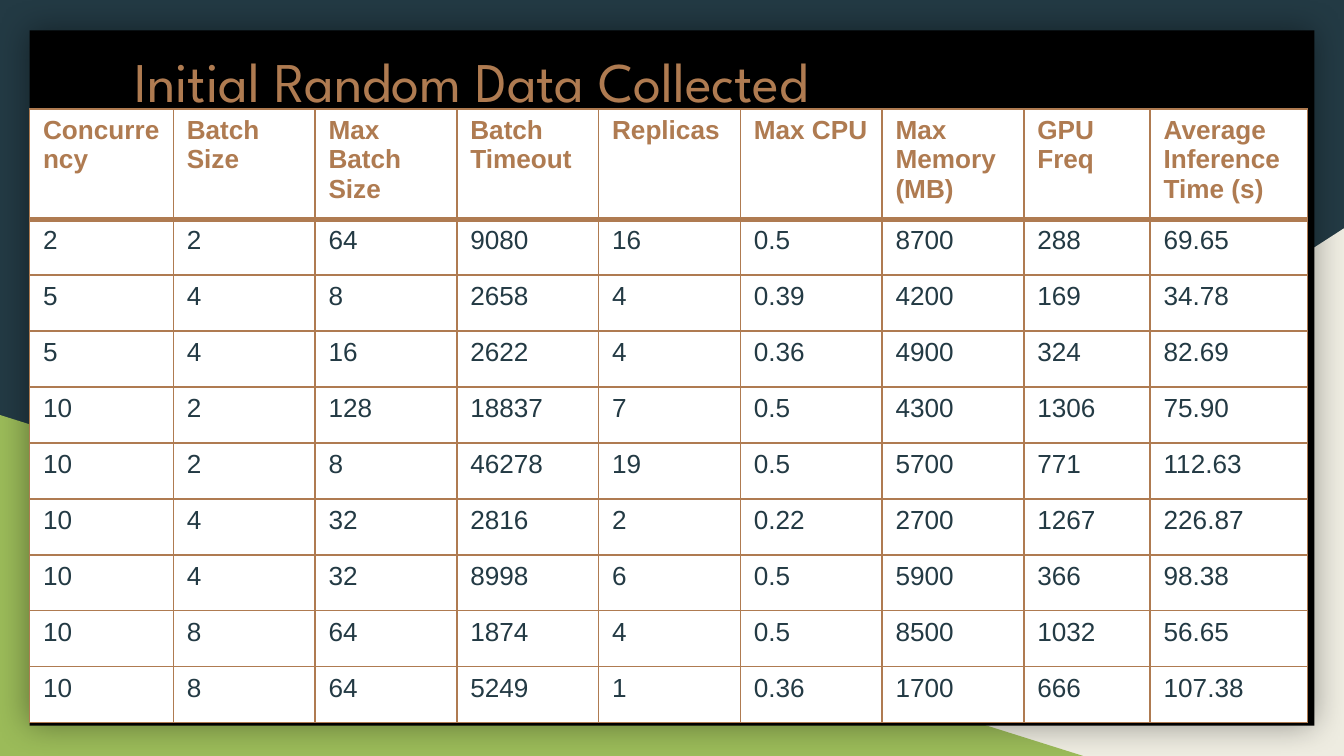
from pptx import Presentation, util as u
from pptx.dml.color import RGBColor
from pptx.enum import shapes, text
from pptx.oxml import parse_xml
from pptx.oxml.ns import nsdecls

NAVY = RGBColor(0x23, 0x3A, 0x44)
CREAM = RGBColor(0xEE, 0xEC, 0xE1)
GREEN = RGBColor(0x9B, 0xBB, 0x59)
BLACK = RGBColor(0, 0, 0)
WHITE = RGBColor(0xFF, 0xFF, 0xFF)
COPPER = RGBColor(0xAF, 0x7B, 0x51)

HEADINGS = ["Concurrency", "Batch Size", "Max Batch Size", "Batch Timeout", "Replicas",
            "Max CPU", "Max Memory (MB)", "GPU\nFreq", "Average Inference Time (s)"]
TRIALS = """
2 2 64 9080 16 0.5 8700 288 69.65
5 4 8 2658 4 0.39 4200 169 34.78
5 4 16 2622 4 0.36 4900 324 82.69
10 2 128 18837 7 0.5 4300 1306 75.90
10 2 8 46278 19 0.5 5700 771 112.63
10 4 32 2816 2 0.22 2700 1267 226.87
10 4 32 8998 6 0.5 5900 366 98.38
10 8 64 1874 4 0.5 8500 1032 56.65
10 8 64 5249 1 0.36 1700 666 107.38
"""


def write(frame, words, font="Arial", size=14, color=NAVY, bold=False):
    frame.word_wrap = True
    frame.text = words
    for paragraph in frame.paragraphs:
        for run in paragraph.runs:
            run.font.name = font
            run.font.size = u.Pt(size)
            run.font.bold = bold
            run.font.color.rgb = color


class Deck:
    """Draws on one slide, with lengths in percent of the slide's width and height."""

    def __init__(self, background):
        self.show = Presentation()
        self.show.slide_width, self.show.slide_height = u.Inches(10), u.Inches(5.625)
        self.slide = self.show.slides.add_slide(self.show.slide_layouts[6])
        self.slide.background.fill.solid()
        self.slide.background.fill.fore_color.rgb = background

    def across(self, share):
        return round(self.show.slide_width * share / 100)

    def down(self, share):
        return round(self.show.slide_height * share / 100)

    def place(self, left, top, width, height):
        return self.across(left), self.down(top), self.across(width), self.down(height)

    def block(self, kind, spot, color, flip=False, glow=False):
        block = self.slide.shapes.add_shape(kind, *self.place(*spot))
        block.shadow.inherit = False
        block.fill.solid()
        block.fill.fore_color.rgb = color
        block.line.fill.background()
        properties = block._element.spPr
        if flip:
            properties.xfrm.set("flipH", "1")
        if glow:
            properties.remove(properties.find("{*}effectLst"))
            properties.append(parse_xml(
                f'<a:effectLst {nsdecls("a")}><a:outerShdw blurRad="{u.Pt(18)}" dist="0" dir="0" '
                f'algn="ctr" rotWithShape="0"><a:srgbClr val="{BLACK}"><a:alpha val="40000"/>'
                '</a:srgbClr></a:outerShdw></a:effectLst>'))

    def title(self, spot, words):
        frame = self.slide.shapes.add_textbox(*self.place(*spot)).text_frame
        frame.margin_left = frame.margin_right = u.Inches(0.1)
        frame.margin_top = frame.margin_bottom = u.Inches(0.1)
        frame.vertical_anchor = text.MSO_ANCHOR.TOP
        write(frame, words, font="League Spartan", size=30, color=COPPER)

    def border(self, cell, **widths):
        for position, (side, width) in enumerate(widths.items()):
            cell._tc.get_or_add_tcPr().insert(position, parse_xml(
                f'<a:{side} {nsdecls("a")} w="{u.Pt(width)}"><a:solidFill>'
                f'<a:srgbClr val="{COPPER}"/></a:solidFill></a:{side}>'))

    def table(self, left, top, columns, rows, content, thin=0.96, thick=3):
        spot = self.place(left, top, sum(columns), sum(rows))
        grid = self.slide.shapes.add_table(len(rows), len(columns), *spot).table
        for column, share in zip(grid.columns, columns):
            column.width = self.across(share)
        for r, (row, share, entries) in enumerate(zip(grid.rows, rows, content)):
            row.height = self.down(share)
            heading = r == 0
            for cell, words in zip(row.cells, entries):
                cell.fill.solid()
                cell.fill.fore_color.rgb = WHITE
                write(cell.text_frame, words, color=COPPER if heading else NAVY, bold=heading)
                self.border(cell, lnL=thin, lnR=thin, lnT=thick if r == 1 else thin,
                            lnB=thick if heading else thin)

    def save(self):
        self.show.save("out.pptx")


deck = Deck(NAVY)
triangle = shapes.MSO_SHAPE.RIGHT_TRIANGLE
deck.block(triangle, (39.2, 30.2, 60.8, 69.8), CREAM, flip=True)
deck.block(triangle, (0, 54.9, 80.6, 45.1), GREEN)
deck.block(shapes.MSO_SHAPE.RECTANGLE, (2.2, 4, 95.6, 92), BLACK, glow=True)
deck.title((9, 4.4, 82.1, 12.3), "Initial Random Data Collected")
trials = [line.split() for line in TRIALS.strip().splitlines()]
deck.table(2.2, 14.4, [10.7] + [10.55] * 6 + [9.4, 11.7], [14.6] + [7.4] * len(trials),
           [HEADINGS] + trials)
deck.save()
